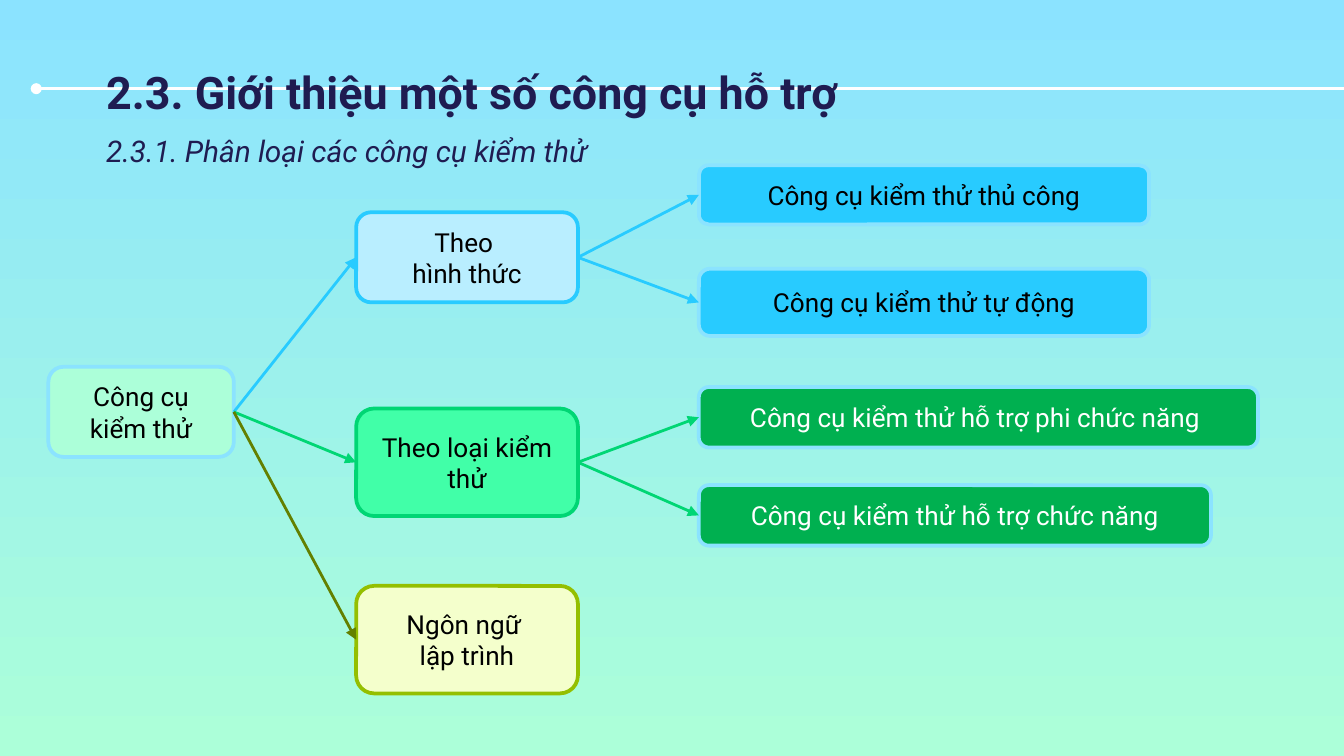
from lxml.etree import SubElement
from pptx import Presentation
from pptx.dml.color import RGBColor
from pptx.enum.shapes import MSO_CONNECTOR, MSO_SHAPE
from pptx.enum.text import MSO_ANCHOR, MSO_AUTO_SIZE, PP_ALIGN
from pptx.oxml.ns import qn
from pptx.util import Inches, Pt


def tint(item, shade):
    item.solid()
    item.fore_color.rgb = RGBColor.from_string(shade)


def write(shape, text, size=14, shade="000000", bold=False, italic=False,
          align=PP_ALIGN.CENTER, anchor=MSO_ANCHOR.MIDDLE, pad=0.05, gap=1.0, after=0):
    frame = shape.text_frame
    frame.text = text
    frame.word_wrap = True
    frame.auto_size = MSO_AUTO_SIZE.NONE
    frame.vertical_anchor = anchor
    frame.margin_left = frame.margin_right = Inches(0.1)
    frame.margin_top = frame.margin_bottom = Inches(pad)
    for para in frame.paragraphs:
        para.alignment = align
        para.line_spacing = gap
        para.space_before = Pt(0)
        para.space_after = Pt(after)
        for run in para.runs:
            font = run.font
            font.name, font.size = "Roboto", Pt(size)
            font.bold, font.italic = bold, italic
            tint(font.fill, shade)


deck = Presentation()
deck.slide_width = Inches(10)
deck.slide_height = deck.slide_width * 9 // 16
slide = deck.slides.add_slide(deck.slide_layouts[0])

back = slide.background.fill
back.gradient()
back.gradient_angle = 270
for stop, shade in zip(back.gradient_stops, ["8BE3FF", "ACFFD9"]):
    stop.color.rgb = RGBColor.from_string(shade)

heads = [
    (slide.shapes.title, "2.3. Giới thiệu một số công cụ hỗ trợ", 0.38, 8.49, 0.59,
     dict(size=24, bold=True)),
    (slide.placeholders[1], "2.3.1. Phân loại các công cụ kiểm thử", 0.85, 6.98, 0.46,
     dict(size=16, italic=True, gap=1.15, after=16)),
]
for shape, text, top, width, height, look in heads:
    shape.left, shape.top = Inches(0.69), Inches(top)
    shape.width, shape.height = Inches(width), Inches(height)
    write(shape, text, shade="1F1C51", align=PP_ALIGN.LEFT,
          anchor=MSO_ANCHOR.TOP, pad=0.1, **look)

nodes = [
    ("root", "Công cụ kiểm thử", 0.36, 2.73, 1.38, 0.67, "ACFFD9", "8BE3FF", "000000"),
    ("form", "Theo \nhình thức", 2.65, 1.58, 1.65, 0.67, "B9EEFF", "28CBFF", "000000"),
    ("type", "Theo loại kiểm thử", 2.65, 3.04, 1.65, 0.8, "41FFA8", "00D674", "000000"),
    ("lang", "Ngôn ngữ \nlập trình", 2.65, 4.36, 1.65, 0.8, "F4FFCC", "94BF00", "000000"),
    ("hand", "Công cụ kiểm thử thủ công", 5.2, 1.23, 3.35, 0.44, "28CBFF", "8BE3FF", "000000"),
    ("auto", "Công cụ kiểm thử tự động", 5.2, 2, 3.35, 0.5, "28CBFF", "8BE3FF", "000000"),
    ("non", "Công cụ kiểm thử hỗ trợ phi chức năng ", 5.2, 2.88, 4.16, 0.45,
     "00B050", "8BE3FF", "FFFFFF"),
    ("func", "Công cụ kiểm thử hỗ trợ chức năng", 5.2, 3.61, 3.81, 0.45,
     "00B050", "8BE3FF", "FFFFFF"),
]
boxes = {}
for name, text, left, top, width, height, fill, edge, ink in nodes:
    box = slide.shapes.add_shape(MSO_SHAPE.ROUNDED_RECTANGLE, Inches(left), Inches(top),
                                 Inches(width), Inches(height))
    box.shadow.inherit = False
    tint(box.fill, fill)
    tint(box.line.fill, edge)
    box.line.width = Pt(2)
    write(box, text, shade=ink)
    boxes[name] = box

links = [
    (None, None, "FFFFFF", "headEnd", "oval"),
    ("root", "form", "28CBFF", "tailEnd", "triangle"),
    ("root", "type", "00D674", "tailEnd", "triangle"),
    ("root", "lang", "638000", "tailEnd", "triangle"),
    ("form", "hand", "28CBFF", "tailEnd", "triangle"),
    ("form", "auto", "28CBFF", "tailEnd", "triangle"),
    ("type", "non", "00D674", "tailEnd", "triangle"),
    ("type", "func", "00D674", "tailEnd", "triangle"),
]
for start, end, shade, tip, kind in links:
    link = slide.shapes.add_connector(MSO_CONNECTOR.STRAIGHT, Inches(0.27), Inches(0.66),
                                      Inches(10.1), Inches(0.66))
    if start:
        link.begin_connect(boxes[start], 3)
        link.end_connect(boxes[end], 1)
    else:
        slide.shapes.title.element.addprevious(link.element)
    tint(link.line.fill, shade)
    link.line.width = Pt(1.5)
    props = link.element.spPr
    SubElement(props.find(qn("a:ln")), qn("a:" + tip), type=kind)
    SubElement(props, qn("a:effectLst"))

deck.save("out.pptx")
